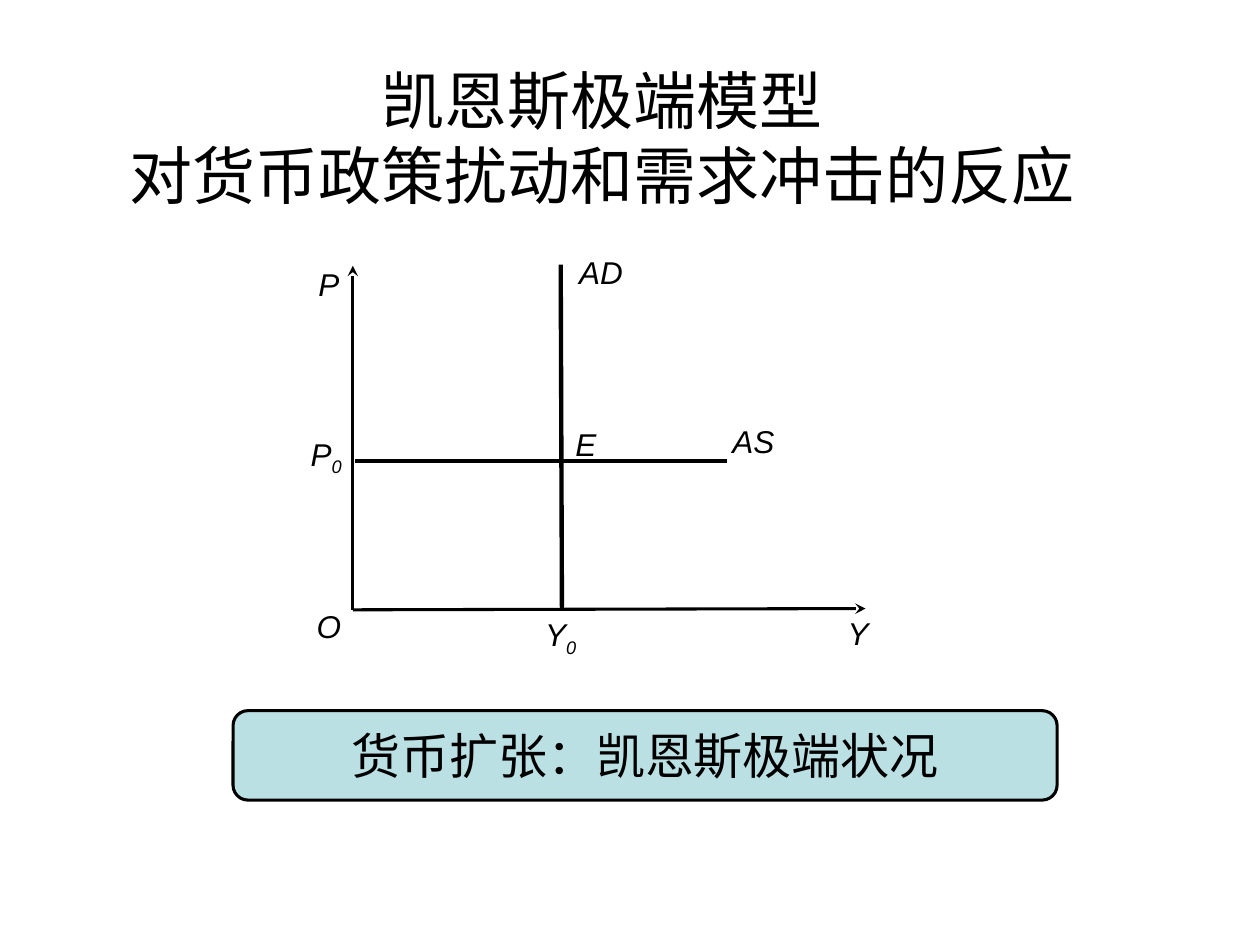
from dataclasses import dataclass

from pptx import Presentation
from pptx.dml.color import RGBColor
from pptx.enum.shapes import MSO_CONNECTOR, MSO_SHAPE
from pptx.enum.text import MSO_ANCHOR, PP_ALIGN
from pptx.oxml.ns import qn
from pptx.util import Inches, Pt
from lxml.etree import SubElement


@dataclass(frozen=True)
class Theme:
    font: str = "Arial"
    ink: RGBColor = RGBColor(0x00, 0x00, 0x00)
    panel: RGBColor = RGBColor(0xBB, 0xE0, 0xE3)
    title_size: int = 36
    caption_size: int = 28
    label_size: int = 18
    outline: float = 1.75


class DiagramSlide:
    """One slide on a grid of 100 columns by 75 rows."""

    columns, rows = 100, 75

    def __init__(self, presentation, theme):
        self.theme = theme
        self.column = presentation.slide_width / self.columns
        self.row = presentation.slide_height / self.rows
        self.slide = presentation.slides.add_slide(presentation.slide_layouts[6])

    def place(self, *lengths):
        units = (self.column, self.row) * 2
        return [round(length * unit) for length, unit in zip(lengths, units)]

    def set_text(self, shape, text, size, subscript="", wrap=False, italic=False):
        frame = shape.text_frame
        frame.word_wrap = wrap
        frame.vertical_anchor = MSO_ANCHOR.MIDDLE
        paragraph = frame.paragraphs[0]
        paragraph.alignment = PP_ALIGN.CENTER
        paragraph.text = text
        if subscript:
            lowered = paragraph.add_run()
            lowered.text = subscript
            lowered._r.get_or_add_rPr().set("baseline", "-25000")
        style = {"name": self.theme.font, "size": Pt(size), "italic": italic}
        for run in paragraph.runs:
            for name, value in style.items():
                setattr(run.font, name, value)
            run.font.color.rgb = self.theme.ink

    def title(self, text, box, bottom_inset):
        shape = self.slide.shapes.add_textbox(*self.place(*box))
        shape.text_frame.margin_bottom = round(bottom_inset * self.row)
        self.set_text(shape, text, self.theme.title_size, wrap=True)

    def rounded(self, box):
        shape = self.slide.shapes.add_shape(
            MSO_SHAPE.ROUNDED_RECTANGLE, *self.place(*box))
        shape.shadow.inherit = False
        return shape

    def label(self, left, top, text, subscript=""):
        shape = self.rounded((left, top, 4.2, 3.8))
        shape.fill.background()
        shape.line.fill.background()
        self.set_text(shape, text, self.theme.label_size, subscript, italic=True)

    def caption(self, text, box):
        shape = self.rounded(box)
        shape.fill.solid()
        shape.fill.fore_color.rgb = self.theme.panel
        shape.line.color.rgb = self.theme.ink
        shape.line.width = Pt(self.theme.outline)
        self.set_text(shape, text, self.theme.caption_size)

    def line(self, start, end, width, arrow=False):
        connector = self.slide.shapes.add_connector(
            MSO_CONNECTOR.STRAIGHT, *self.place(*start, *end))
        connector.line.color.rgb = self.theme.ink
        connector.line.width = Pt(width)
        if arrow:
            SubElement(connector.line._get_or_add_ln(), qn("a:tailEnd"), type="stealth")
        SubElement(connector._element.spPr, qn("a:effectLst"))


def main():
    presentation = Presentation()
    presentation.slide_width, presentation.slide_height = Inches(10), Inches(7.5)
    theme = Theme()
    diagram = DiagramSlide(presentation, theme)

    # Title, raised above the middle of its box by the bottom inset
    diagram.title("凯恩斯极端模型\n对货币政策扰动和需求冲击的反应",
                  (2.8, 9.1, 90, 9.4), bottom_inset=6.4)

    # Axes
    origin = (28, 48.4)
    for tip in ((68.7, 48.3), (28, 21.1)):
        diagram.line(origin, tip, theme.outline, arrow=True)

    # Demand and supply curves
    diagram.line((44.5, 21), (44.6, 48.3), 2.5)
    diagram.line((28.2, 36.6), (57.7, 36.6), 2)

    # Labels of axes, curves and equilibrium
    for label in (
        (24, 20.6, "P"),
        (23.8, 34.3, "P", "0"),
        (24, 47.8, "O"),
        (42.4, 48.6, "Y", "0"),
        (66, 48.3, "Y"),
        (45.6, 19.7, "AD"),
        (57.7, 33.1, "AS"),
        (44.4, 33.3, "E"),
    ):
        diagram.label(*label)

    # Caption
    diagram.caption("货币扩张：凯恩斯极端状况", (18.5, 56.4, 65.4, 7.1))

    presentation.save("out.pptx")


if __name__ == "__main__":
    main()
